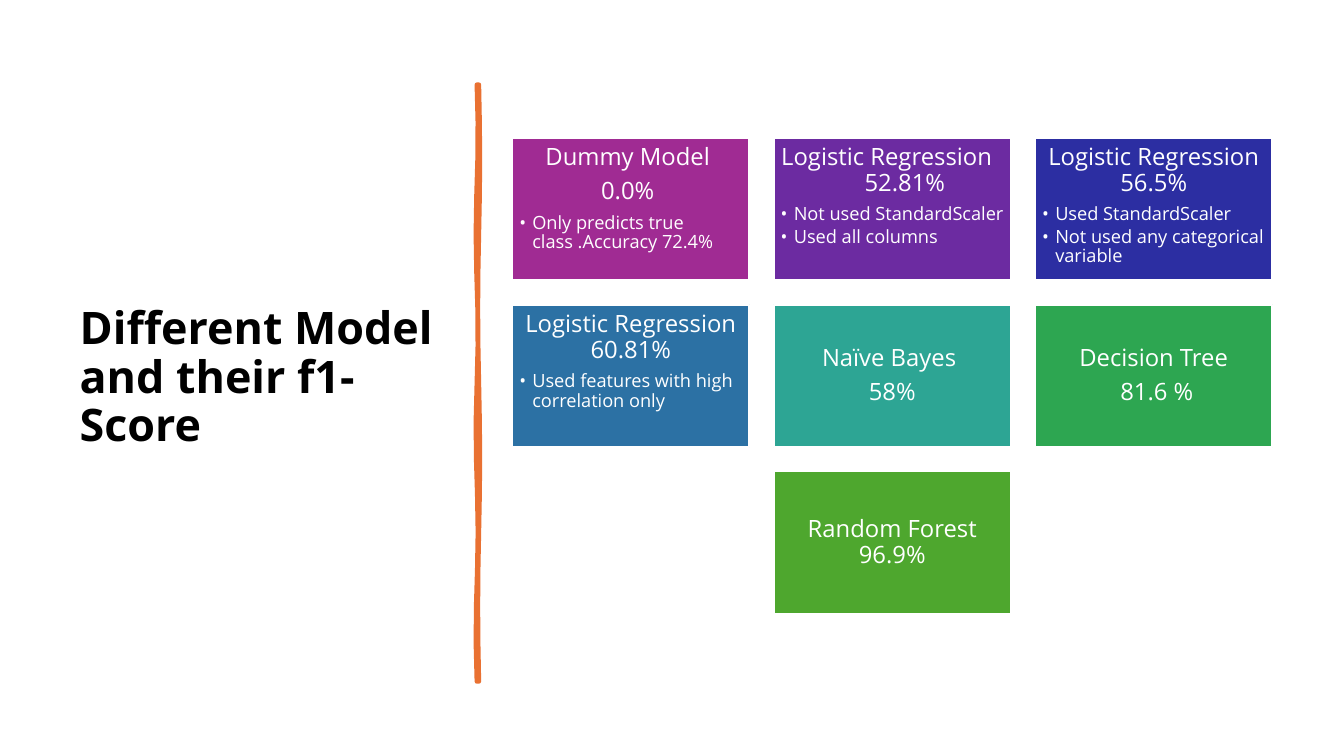
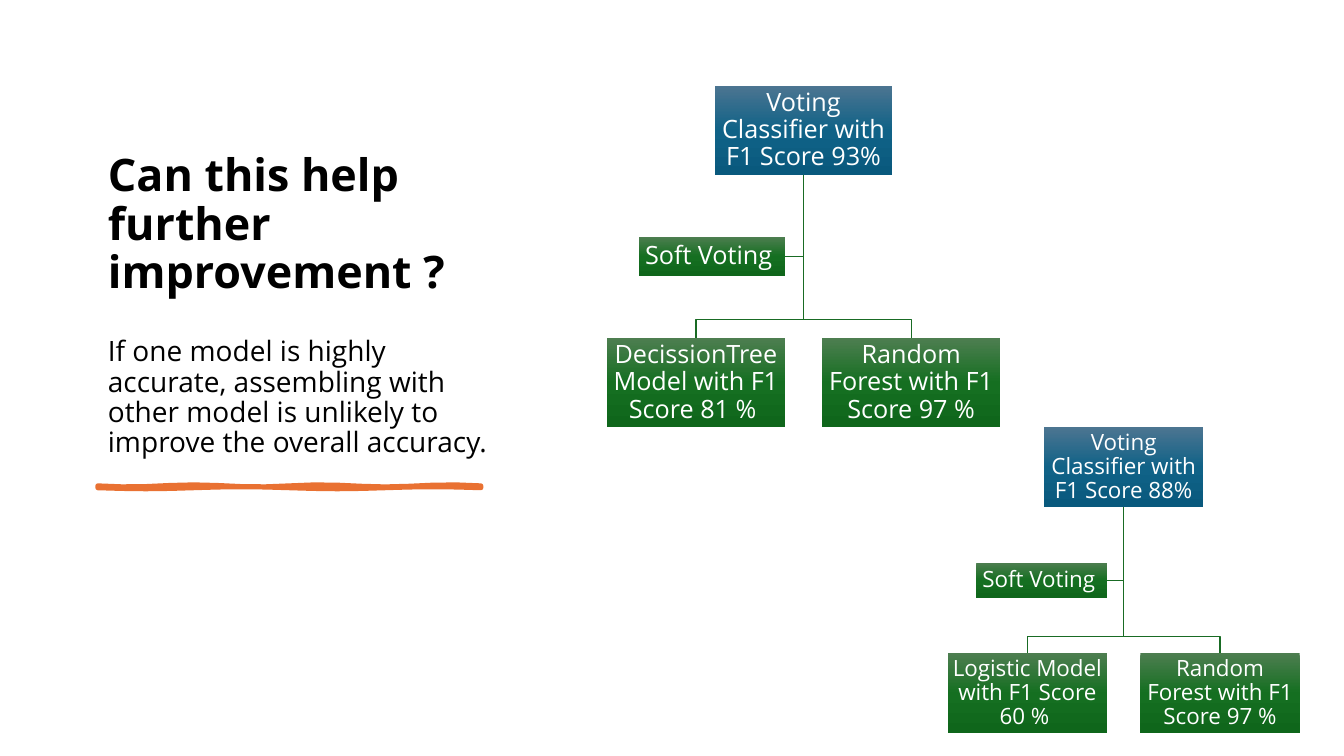
import copy
import math
from dataclasses import dataclass

import pptx
import pptx.dml.color
import pptx.enum.shapes
import pptx.enum.text
import pptx.oxml.ns
import pptx.util
from lxml import etree

Inches = pptx.util.Inches
Pt = pptx.util.Pt
Align = pptx.enum.text.PP_ALIGN
Anchor = pptx.enum.text.MSO_ANCHOR
qn = pptx.oxml.ns.qn


def rgb(value):
    return pptx.dml.color.RGBColor.from_string(value)


@dataclass(frozen=True)
class Theme:
    font: str = "Open Sans"
    ink: str = "000000"
    paper: str = "FFFFFF"
    accent: str = "E97132"
    branch: str = "196B24"
    root_gradient: tuple = ("4C7591", "106287", "09597D")
    leaf_gradient: tuple = ("4D7E50", "156F21", "0F661B")
    title_size: int = 32
    body_size: int = 20
    tile_size: int = 17
    bullet_size: int = 13
    line_spacing: float = 0.9


THEME = Theme()


@dataclass(frozen=True)
class Box:
    left: float
    top: float
    width: float
    height: float = 0

    def inches(self):
        return [Inches(n) for n in (self.left, self.top, self.width, self.height)]


# Shared text and shape helpers

def write(paragraph, text, size, color, bold=False, align=Align.CENTER,
          before=0, after=0):
    paragraph.alignment = align
    paragraph.line_spacing = THEME.line_spacing
    paragraph.space_before = Pt(before)
    paragraph.space_after = Pt(after)
    run = paragraph.add_run()
    run.text = text
    run.font.name = THEME.font
    run.font.size = Pt(size)
    run.font.bold = bold
    run.font.color.rgb = rgb(color)


def next_paragraph(frame, index):
    return frame.paragraphs[0] if index == 0 else frame.add_paragraph()


def set_hanging(paragraph, left, right=0):
    properties = paragraph._p.get_or_add_pPr()
    properties.set("marL", str(Inches(left)))
    properties.set("marR", str(Inches(right)))
    properties.set("indent", str(Inches(-left)))
    return properties


def add_bullet(paragraph):
    properties = set_hanging(paragraph, 0.13)
    etree.SubElement(properties, qn("a:buFont")).set("typeface", THEME.font)
    etree.SubElement(properties, qn("a:buChar")).set("char", "•")


def add_panel(slide, box, inset, anchor):
    panel = slide.shapes.add_shape(
        pptx.enum.shapes.MSO_SHAPE.RECTANGLE, *box.inches())
    panel.shadow.inherit = False
    frame = panel.text_frame
    frame.word_wrap = True
    frame.vertical_anchor = anchor
    frame.margin_left = frame.margin_right = Inches(inset)
    frame.margin_top = frame.margin_bottom = Inches(inset)
    return panel


def add_outline(slide, points, color, weight, closed):
    corners = [(Inches(x), Inches(y)) for x, y in points]
    builder = slide.shapes.build_freeform(*corners[0])
    builder.add_line_segments(corners[1:], close=closed)
    outline = builder.convert_to_shape()
    outline.shadow.inherit = False
    outline.line.color.rgb = rgb(color)
    outline.line.width = Pt(weight)
    if closed:
        outline.fill.solid()
        outline.fill.fore_color.rgb = rgb(color)
    else:
        outline.fill.background()


def fill_gradient(fill, colors):
    fill.gradient()
    fill.gradient_angle = 270
    first = fill.gradient_stops[0]._gs
    first.addnext(copy.deepcopy(first))
    for stop, position, color in zip(fill.gradient_stops, (0, 0.5, 1), colors):
        stop.position = position
        stop.color.rgb = rgb(color)


def add_title_slide(deck, box, anchor, title, body=None):
    slide = deck.slides.add_slide(deck.slide_layouts[5])
    heading = slide.shapes.title
    heading.left, heading.top, heading.width, heading.height = box.inches()
    frame = heading.text_frame
    frame.auto_size = pptx.enum.text.MSO_AUTO_SIZE.NONE
    frame.word_wrap = True
    frame.vertical_anchor = anchor
    write(frame.paragraphs[0], title, THEME.title_size, THEME.ink, True, Align.LEFT)
    if body:
        write(frame.add_paragraph(), body, THEME.body_size, THEME.ink,
              align=Align.LEFT, before=28)
    return slide


def add_brush_stroke(slide, box, weight):
    """Hand-drawn rule along the longer side of the box."""
    vertical = box.height > box.width
    length = max(box.width, box.height)
    thickness = min(box.width, box.height)
    steps = 16

    def edge(offset, waves):
        for step in range(steps + 1):
            along = length * step / steps
            across = offset + 0.01 * math.sin(2 * math.pi * waves * step / steps)
            x, y = (across, along) if vertical else (along, across)
            yield box.left + x, box.top + y

    points = [*edge(0, 3), *reversed(list(edge(thickness, 2)))]
    add_outline(slide, points, THEME.accent, weight, closed=True)


# Model tiles

def add_tile(slide, box, color, headings, bullets, hanging=None):
    tile = add_panel(slide, box, 0.07, Anchor.TOP if bullets else Anchor.MIDDLE)
    tile.fill.solid()
    tile.fill.fore_color.rgb = rgb(color)
    tile.line.color.rgb = rgb(THEME.paper)
    tile.line.width = Pt(1.5)
    frame = tile.text_frame
    for index, text in enumerate(headings + bullets):
        paragraph = next_paragraph(frame, index)
        if index < len(headings):
            write(paragraph, text, THEME.tile_size, THEME.paper, after=6)
            if hanging:
                set_hanging(paragraph, *hanging)
        else:
            write(paragraph, text, THEME.bullet_size, THEME.paper,
                  align=Align.LEFT, after=2)
            add_bullet(paragraph)


def add_tile_grid(slide, box, models, columns=3, rows=3, gap=0.24):
    width = (box.width - gap * (columns - 1)) / columns
    height = (box.height - gap * (rows - 1)) / rows
    for index, model in enumerate(models):
        row, column = divmod(index, columns)
        in_row = min(columns, len(models) - row * columns)
        # A short last row is centred
        place = column + (columns - in_row) / 2
        add_tile(slide, Box(box.left + place * (width + gap),
                            box.top + row * (height + gap), width, height), *model)


# Voting trees

def add_node(slide, box, text, size, gradient):
    node = add_panel(slide, box, 0.01, Anchor.MIDDLE)
    fill_gradient(node.fill, gradient)
    node.line.fill.background()
    write(node.text_frame.paragraphs[0], text, size, THEME.paper)


def add_voting_tree(slide, box, size, root, aide, leaves):
    # Every length follows from the node width; the leaf gap is 0.21 of it
    node_width = box.width / 2.21
    node_height = node_width / 2
    gap = 0.21 * node_width
    aide_width, aide_height = 0.82 * node_width, 0.22 * node_width
    center = box.left + box.width / 2
    root_bottom = box.top + node_height
    aide_middle = root_bottom + 0.46 * node_width
    leaf_top = root_bottom + 0.92 * node_width
    bus = leaf_top - gap / 2
    aide_right = box.left + node_width
    leaf_lefts = [box.left, box.left + node_width + gap]

    # Bent branches from the root
    branches = [[(center, aide_middle), (aide_right, aide_middle)]]
    for left in reversed(leaf_lefts):
        middle = left + node_width / 2
        branches.append([(center, bus), (middle, bus), (middle, leaf_top)])
    for bends in branches:
        add_outline(slide, [(center, root_bottom), *bends], THEME.branch, 1,
                    closed=False)

    # Root, leaves and aide
    add_node(slide, Box(center - node_width / 2, box.top, node_width, node_height),
             root, size, THEME.root_gradient)
    for left, leaf in zip(leaf_lefts, leaves):
        add_node(slide, Box(left, leaf_top, node_width, node_height),
                 leaf, size, THEME.leaf_gradient)
    add_node(slide, Box(aide_right - aide_width, aide_middle - aide_height / 2,
                        aide_width, aide_height), aide, size, THEME.leaf_gradient)


# Slides

MODELS = [
    ("A02B93", ["Dummy Model ", "0.0% "], ["Only predicts true class .Accuracy 72.4%"]),
    ("6C2BA1", ["Logistic Regression 52.81%"],
     ["Not used StandardScaler", "Used all columns"], (0.36, 0.11)),
    ("2C2EA2", ["Logistic Regression 56.5%"],
     ["Used StandardScaler", "Not used any categorical variable"]),
    ("2C71A4", ["Logistic Regression 60.81%"],
     ["Used features with high correlation only"]),
    ("2DA594", ["Naïve Bayes ", "58%"], []),
    ("2DA651", ["Decision Tree", " 81.6 %"], []),
    ("4EA72E", ["Random Forest 96.9%"], []),
]


def build_model_slide(deck):
    slide = add_title_slide(deck, Box(0.69, 0.7, 3.74, 6.11), Anchor.MIDDLE,
                            "Different Model and their f1- Score")
    add_brush_stroke(slide, Box(4.73, 0.84, 0.02, 5.92), 3.25)
    add_tile_grid(slide, Box(5.08, 1.37, 7.54, 4.72), MODELS)


def build_voting_slide(deck):
    slide = add_title_slide(
        deck, Box(0.97, 0.7, 4.08, 3.9), Anchor.BOTTOM,
        "Can this help further improvement ?",
        "If one model is highly accurate, assembling with other model is "
        "unlikely to improve the overall accuracy.")
    add_brush_stroke(slide, Box(0.97, 4.82, 3.8, 0.02), 3.5)
    add_voting_tree(slide, Box(9.4, 4.24, 3.49), 16,
                    "Voting Classifier with F1 Score 88%", "Soft Voting ",
                    ["Logistic Model with F1 Score 60 % ",
                     "Random Forest with F1 Score 97 %"])
    add_voting_tree(slide, Box(6.02, 0.85, 3.9), 18,
                    "Voting Classifier with F1 Score 93%", "Soft Voting ",
                    ["DecissionTree Model with F1 Score 81 % ",
                     "Random Forest with F1 Score 97 %"])


def main():
    deck = pptx.Presentation()
    deck.slide_width = Inches(13.33)
    deck.slide_height = Inches(7.5)
    build_model_slide(deck)
    build_voting_slide(deck)
    deck.save("out.pptx")


if __name__ == "__main__":
    main()
